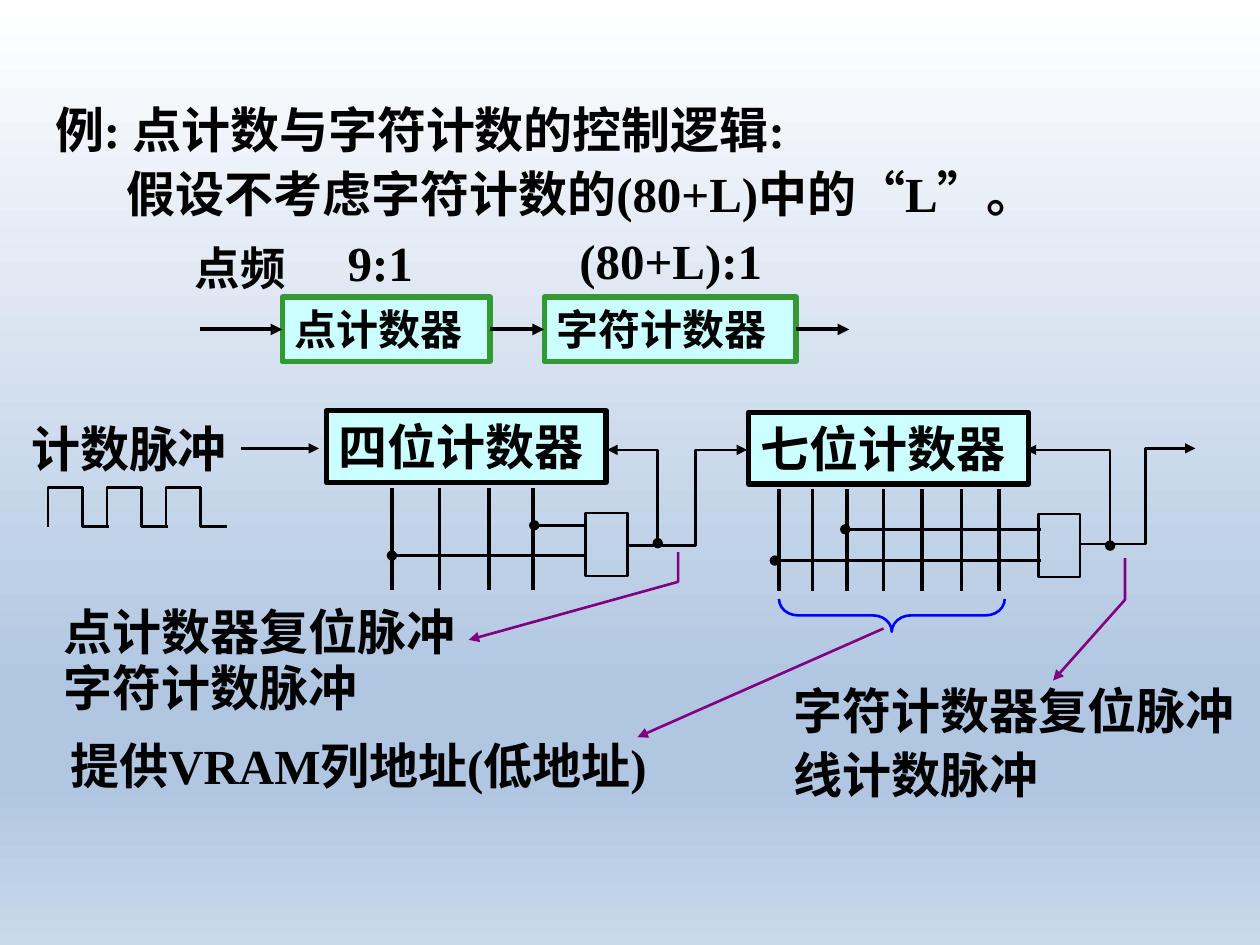
"""Build the slide on the control logic of the dot and character counters."""
from dataclasses import dataclass

from lxml import etree
from pptx import Presentation
from pptx.dml.color import RGBColor
from pptx.enum.shapes import MSO_CONNECTOR, MSO_SHAPE
from pptx.enum.text import MSO_ANCHOR, MSO_AUTO_SIZE, PP_ALIGN
from pptx.oxml.ns import qn
from pptx.util import Cm, Pt

RECTANGLE = MSO_SHAPE.RECTANGLE
LEFT_BRACE = MSO_SHAPE.LEFT_BRACE
STRAIGHT = MSO_CONNECTOR.STRAIGHT
TOP = MSO_ANCHOR.TOP
LEFT = PP_ALIGN.LEFT
GROW = MSO_AUTO_SIZE.SHAPE_TO_FIT_TEXT
LEFT_SIDE, RIGHT_SIDE = 1, 3

COLORS = {
    "ink": "000000",
    "box": "CCFFFF",
    "green": "339933",
    "purple": "800080",
    "blue": "0000FF",
}
BACKGROUND = [(0, "FFFFFF"), (74, "B0C6E1"), (83, "B0C6E1"), (100, "CAD9EB")]
SERIF = "Times New Roman"
SANS = "Noto Sans CJK SC"


@dataclass
class Label:
    text: str
    left: float
    top: float
    width: float
    height: float = 1.45
    size: int = 28
    font: str = SERIF
    line_spacing: float | None = None
    space_before: float = 0


@dataclass
class Wire:
    points: list[tuple[float, float]]
    color: str = "ink"
    weight: float = 1.5
    head: str | None = None
    tail: str | None = "triangle"


@dataclass
class Counter:
    box: Label
    bits: list[float]
    bits_top: float
    gate: tuple[float, float]
    taps: list[Wire]
    loops: list[Wire]


DOT_BOX = Label("点计数器", 5.69, 5.99, 4.19, 1.3, 24)
CHARACTER_BOX = Label("字符计数器", 10.97, 5.99, 5.08, 1.3, 24)
LABELS = [
    Label("例: 点计数与字符计数的控制逻辑:", 0.86, 1.88, 18.08),
    Label("假设不考虑字符计数的(80+L)中的“L”。", 2.31, 3.18, 21.67),
    Label("点频", 3.68, 4.72, 2.82, 1.35, 26, SANS),
    Label("9:1", 6.76, 4.57, 2.97),
    Label("(80+L):1", 11.43, 4.52, 4.24),
    Label("计数脉冲", 0.38, 8.31, 4.6),
    Label("提供VRAM列地址(低地址)", 1.17, 14.71, 12.83),
    Label("点计数器复位脉冲\n字符计数脉冲", 1.04, 12.09, 9.75, 2.51, line_spacing=0.95),
    Label("字符计数器复位脉冲\n线计数脉冲", 15.75, 13.59, 9.91, 2.74, space_before=2.8),
]
COUNTERS = [
    Counter(
        Label("四位计数器", 6.58, 8.28, 5.64),
        [7.9, 8.86, 9.86, 10.74], 9.83, (11.81, 10.34),
        [Wire([(10.77, 10.59), (11.84, 10.59)], head="oval", tail=None),
         Wire([(7.9, 11.2), (11.81, 11.2)], head="oval", tail=None)],
        [Wire([(13.26, 10.95), (13.26, 9.07), (12.24, 9.07)], head="oval"),
         Wire([(12.65, 11), (14.02, 11), (14.02, 9.07), (15.06, 9.07)])],
    ),
    Counter(
        Label("七位计数器", 15.09, 8.31, 5.64),
        [15.7, 16.38, 17.07, 17.81, 18.59, 19.38, 20.14], 9.86, (20.93, 10.36),
        [Wire([(15.62, 11.3), (20.98, 11.3)], head="oval", tail=None),
         Wire([(17.04, 10.67), (20.98, 10.67)], head="oval", tail=None)],
        [Wire([(21.79, 10.97), (23.09, 10.97), (23.09, 9.04), (24.1, 9.04)]),
         Wire([(22.38, 11), (22.38, 9.07), (20.68, 9.07)], head="oval")],
    ),
]
POINTERS = [
    Wire([(13.67, 11.13), (13.67, 11.73), (9.45, 12.9)], "purple"),
    Wire([(22.68, 11.25), (22.68, 12.09), (21.23, 13.72)], "purple"),
    Wire([(17.81, 12.67), (12.85, 14.86)], "purple"),
]


def paint_background(slide) -> None:
    fill = slide.background.fill
    fill.gradient()
    fill.gradient_angle = 270
    stops = next(slide.element.iter(qn("a:gsLst")))
    for stop in list(stops):
        stops.remove(stop)
    for percent, color in BACKGROUND:
        stop = etree.SubElement(stops, qn("a:gs"), pos=str(percent * 1000))
        etree.SubElement(stop, qn("a:srgbClr"), val=color)


def style_line(shape, color: str, weight: float) -> None:
    shape.line.color.rgb = RGBColor.from_string(COLORS[color])
    shape.line.width = Pt(weight)


def write_text(shape, label: Label) -> None:
    frame = shape.text_frame
    frame.text = label.text
    frame.word_wrap = True
    frame.auto_size = GROW
    frame.vertical_anchor = TOP
    for index, paragraph in enumerate(frame.paragraphs):
        paragraph.alignment = LEFT
        if label.line_spacing:
            paragraph.line_spacing = label.line_spacing
        if index and label.space_before:
            paragraph.space_before = Pt(label.space_before)
        for run in paragraph.runs:
            run.font.size = Pt(label.size)
            run.font.bold = True
            run.font.name = label.font
            run.font.color.rgb = RGBColor.from_string(COLORS["ink"])
            properties = run._r.get_or_add_rPr()
            etree.SubElement(properties, qn("a:ea"), typeface=SANS)


def add_label(slide, label: Label) -> None:
    frame = (label.left, label.top, label.width, label.height)
    write_text(slide.shapes.add_textbox(*map(Cm, frame)), label)


def add_outline(slide, kind, frame, color: str, weight: float):
    shape = slide.shapes.add_shape(kind, *map(Cm, frame))
    shape.shadow.inherit = False
    shape.fill.background()
    style_line(shape, color, weight)
    return shape


def add_box(slide, label: Label, color: str):
    frame = (label.left, label.top, label.width, label.height)
    shape = add_outline(slide, RECTANGLE, frame, color, 3)
    shape.fill.solid()
    shape.fill.fore_color.rgb = RGBColor.from_string(COLORS["box"])
    write_text(shape, label)
    return shape


def add_wire(slide, wire: Wire):
    points = [(Cm(x), Cm(y)) for x, y in wire.points]
    if len(points) == 2:
        shape = slide.shapes.add_connector(STRAIGHT, *points[0], *points[1])
    else:
        builder = slide.shapes.build_freeform(*points[0])
        builder.add_line_segments(points[1:], close=False)
        shape = builder.convert_to_shape()
        shape.fill.background()
    style_line(shape, wire.color, wire.weight)
    properties = shape.element.spPr
    line = properties.find(qn("a:ln"))
    for tag, kind in (("a:headEnd", wire.head), ("a:tailEnd", wire.tail)):
        if kind:
            etree.SubElement(line, qn(tag), type=kind)
    etree.SubElement(properties, qn("a:effectLst"))
    return shape


def add_block_diagram(slide) -> None:
    dot_box = add_box(slide, DOT_BOX, "green")
    character_box = add_box(slide, CHARACTER_BOX, "green")
    stations = [(4.04, 5.66, None, dot_box), (9.91, 10.97, dot_box, character_box),
                (16.05, 17.12, character_box, None)]
    for start, end, source, target in stations:
        arrow = add_wire(slide, Wire([(start, 6.64), (end, 6.64)], weight=2.25))
        if source:
            arrow.begin_connect(source, RIGHT_SIDE)
        if target:
            arrow.end_connect(target, LEFT_SIDE)


def add_counter(slide, counter: Counter) -> None:
    add_box(slide, counter.box, "ink")
    top = counter.bits_top
    for x in counter.bits:
        add_wire(slide, Wire([(x, top), (x, top + 2.06)], weight=2, tail=None))
    add_outline(slide, RECTANGLE, (*counter.gate, 0.84, 1.27), "ink", 1.5)
    for wire in counter.taps + counter.loops:
        add_wire(slide, wire)


def add_pulses(slide) -> None:
    high, low = 9.83, 10.62
    for index in range(3):
        x = 0.97 + 1.19 * index
        corners = [(x, low), (x, high), (x + 0.69, high), (x + 0.69, low), (x + 1.22, low)]
        add_wire(slide, Wire(corners, tail=None))


def main() -> None:
    presentation = Presentation()
    presentation.slide_width, presentation.slide_height = Cm(25.4), Cm(19.05)
    slide = presentation.slides.add_slide(presentation.slide_layouts[6])
    paint_background(slide)
    add_block_diagram(slide)
    for label in LABELS:
        add_label(slide, label)
    add_wire(slide, Wire([(4.85, 9.04), (6.43, 9.04)]))
    add_pulses(slide)
    for counter in COUNTERS:
        add_counter(slide, counter)
    brace = add_outline(slide, LEFT_BRACE, (17.65, 10.13, 0.66, 4.55), "blue", 1.5)
    brace.rotation = 270
    brace.adjustments[0] = 0.58
    for pointer in POINTERS:
        add_wire(slide, pointer)
    presentation.save("out.pptx")


if __name__ == "__main__":
    main()
